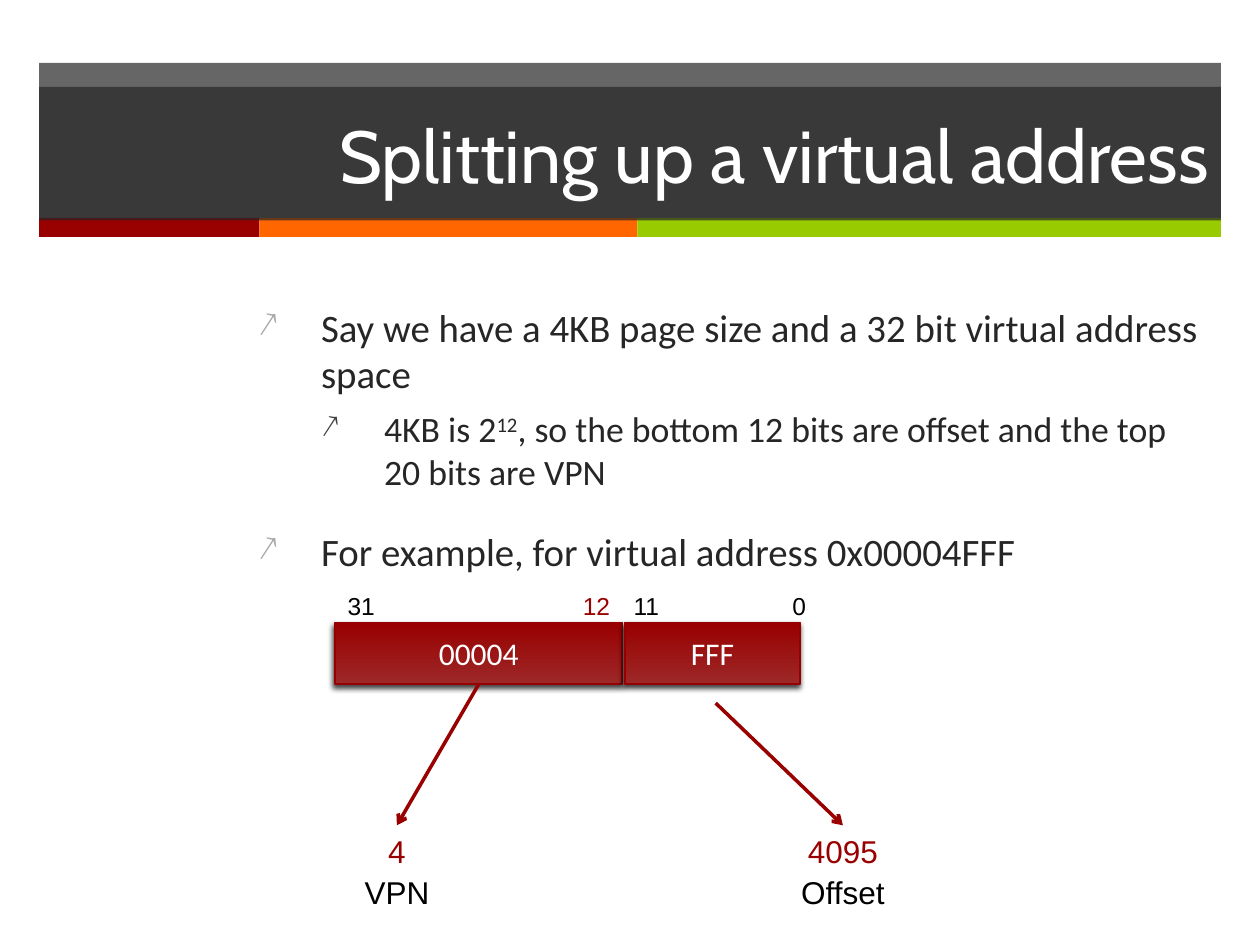
from lxml.etree import SubElement
from pptx import Presentation
from pptx.dml.color import RGBColor as Rgb
from pptx.enum.shapes import MSO_CONNECTOR as Connector, MSO_SHAPE as Shape
from pptx.enum.text import MSO_ANCHOR as Anchor, PP_ALIGN as Align
from pptx.oxml.ns import qn
from pptx.util import Inches, Pt

COLORS = {
    "dark": "262626", "red": "990000", "orange": "FF6600", "green": "99CC00",
    "light_red": "9D2828", "border": "960000", "white": "FFFFFF",
    "black": "000000", "gray": "A6A6A6", "dark_gray": "404040",
}


class SlideBuilder:
    """Draws styled elements on the current slide."""

    def __init__(self, slide):
        self.slide = slide
        self.shapes = slide.shapes

    def color(self, name):
        return Rgb.from_string(COLORS[name])

    def box(self, position):
        return [Inches(value) for value in position]

    def run(self, paragraph, text, size, font, color):
        run = paragraph.add_run()
        run.text = text
        run.font.size = Pt(size)
        run.font.name = font
        run.font.color.rgb = self.color(color)
        return run

    def fill(self, shape, color, opacity=100):
        shape.fill.solid()
        shape.fill.fore_color.rgb = self.color(color)
        if opacity < 100:
            value = shape.element.spPr.find(qn("a:solidFill"))[0]
            SubElement(value, qn("a:alpha"), val=str(opacity * 1000))

    def bar(self, position, color, opacity=100):
        shape = self.shapes.add_shape(Shape.RECTANGLE, *self.box(position))
        shape.shadow.inherit = False
        shape.line.fill.background()
        self.fill(shape, color, opacity)

    def title(self, position, text):
        title = self.shapes.title
        title.left, title.top, title.width, title.height = self.box(position)
        self.fill(title, "dark", 70)
        frame = title.text_frame
        frame.vertical_anchor = Anchor.MIDDLE
        paragraph = frame.paragraphs[0]
        paragraph.alignment = Align.RIGHT
        self.run(paragraph, text, 42, "Cabin", "white")
        title.element.getparent().append(title.element)

    def bullets(self, position, items):
        frame = self.shapes.add_textbox(*self.box(position)).text_frame
        frame.word_wrap = True
        for index, (level, pieces) in enumerate(items):
            paragraph = frame.add_paragraph() if index else frame.paragraphs[0]
            paragraph.level = level
            paragraph.space_before = Pt(6 if level else 20)
            properties = paragraph._p.get_or_add_pPr()
            properties.set("marL", str(Inches(0.5 * (level + 1))))
            properties.set("indent", str(Inches(-0.5)))
            bullet_color = SubElement(properties, qn("a:buClr"))
            SubElement(bullet_color, qn("a:srgbClr"),
                       val=COLORS["dark_gray" if level else "gray"])
            SubElement(properties, qn("a:buSzPct"), val="90000")
            SubElement(properties, qn("a:buChar"), char="↗")
            for text, baseline in pieces:
                run = self.run(paragraph, text, 20.4 if level else 22.2, "Calibri", "dark")
                if baseline:
                    run.font._element.set("baseline", str(baseline * 1000))

    def field(self, position, text):
        shape = self.shapes.add_shape(Shape.RECTANGLE, *self.box(position))
        shape.fill.gradient()
        shape.fill.gradient_angle = 90
        for stop, color in zip(shape.fill.gradient_stops, ("light_red", "red")):
            stop.color.rgb = self.color(color)
        shape.line.color.rgb = self.color("border")
        shape.line.width = Pt(1)
        shape.shadow.inherit = False
        effects = shape.element.spPr.find(qn("a:effectLst"))
        shadow = SubElement(effects, qn("a:outerShdw"), blurRad=str(Pt(3)),
                            dist=str(Pt(2)), dir=str(110 * 60000), rotWithShape="0")
        shadow_color = SubElement(shadow, qn("a:srgbClr"), val=COLORS["black"])
        SubElement(shadow_color, qn("a:alpha"), val="75000")
        shape.text_frame.vertical_anchor = Anchor.MIDDLE
        paragraph = shape.text_frame.paragraphs[0]
        paragraph.alignment = Align.CENTER
        self.run(paragraph, text, 18, "Calibri", "white")
        return shape

    def label(self, position, text, size, color="black", align=Align.LEFT):
        shape = self.shapes.add_textbox(*self.box(position))
        shape.text_frame.word_wrap = True
        paragraph = shape.text_frame.paragraphs[0]
        paragraph.alignment = align
        self.run(paragraph, text, size, "Arial", color)
        return shape

    def arrow(self, start, end, source=None, target=None):
        line = self.shapes.add_connector(Connector.STRAIGHT, *self.box(start + end))
        if source is not None:
            line.begin_connect(source, 2)
        if target is not None:
            line.end_connect(target, 0)
        line.line.color.rgb = self.color("red")
        line.line.width = Pt(2)
        SubElement(line.line._get_or_add_ln(), qn("a:tailEnd"), type="arrow")
        SubElement(line.element.spPr, qn("a:effectLst"))


def main():
    presentation = Presentation()
    presentation.slide_width, presentation.slide_height = Inches(10), Inches(7.5)
    builder = SlideBuilder(presentation.slides.add_slide(presentation.slide_layouts[5]))

    builder.bar((0.31, 0.5, 9.38, 1.24), "dark", 70)
    for left, width, color in ((0.31, 1.75, "red"), (2.06, 3, "orange"), (5.06, 4.63, "green")):
        builder.bar((left, 1.73, width, 0.15), color)
    builder.title((0.31, 0.69, 9.38, 1.06), "Splitting up a virtual address")

    builder.bullets((1.95, 2.36, 7.74, 2.14), (
        (0, [("Say we have a 4KB page size and a 32 bit virtual address space", 0)]),
        (1, [("4KB is 2", 0), ("12", 30),
             (", so the bottom 12 bits are offset and the top 20 bits are VPN", 0)]),
        (0, [("For example, for virtual address 0x00004FFF", 0)]),
    ))

    page_field = builder.field((2.66, 4.94, 2.28, 0.49), "00004")
    builder.field((4.96, 4.94, 1.39, 0.49), "FFF")

    for left, bit, color, align in (
        (2.66, "31", "black", Align.LEFT), (4.35, "12", "red", Align.RIGHT),
        (4.93, "11", "black", Align.LEFT), (6.19, "0", "black", Align.LEFT),
    ):
        builder.label((left, 4.64, 0.59, 0.34), bit, 14, color, align)

    for left, value, name, start, source in (
        (2.29, "4", "VPN", (3.8, 5.43), page_field),
        (5.83, "4095", "Offset", (5.68, 5.58), None),
    ):
        result = builder.label((left, 6.55, 1.72, 0.41), value, 18, "red", Align.CENTER)
        builder.label((left, 6.88, 1.72, 0.41), name, 18, align=Align.CENTER)
        builder.arrow(start, (left + 0.86, 6.55), source, result)

    presentation.save("out.pptx")


if __name__ == "__main__":
    main()
